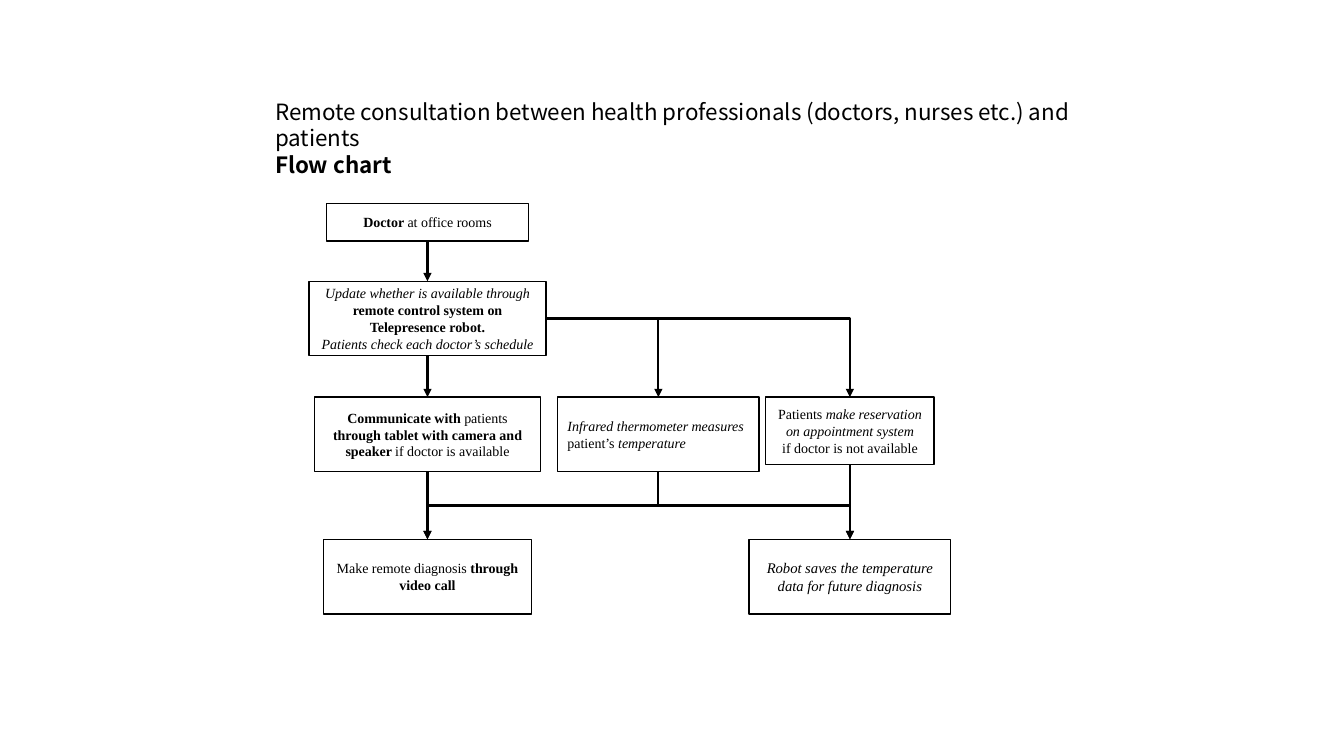
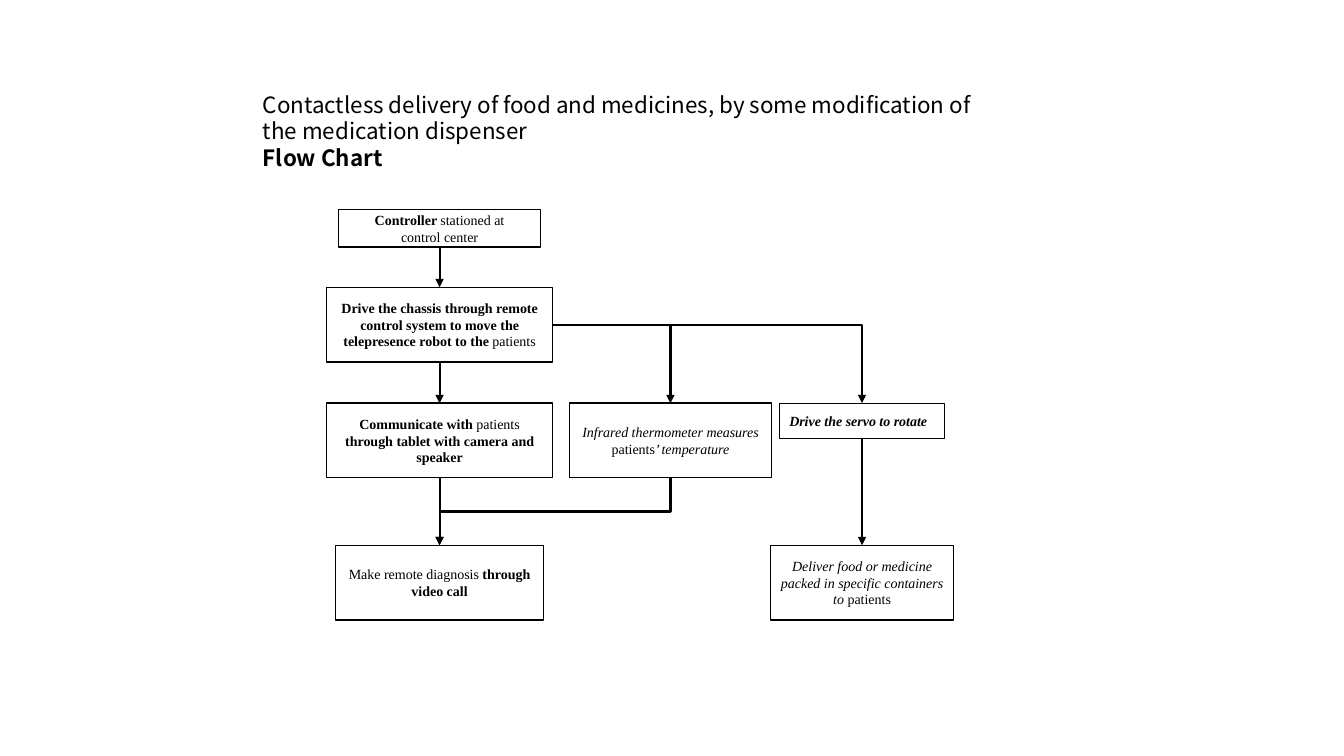
from pptx import Presentation
from pptx import util as u
from pptx.dml import color
from pptx.enum import shapes, text
from lxml import etree

HUES = {"ink": "000000", "paper": "FFFFFF"}
HEAD, BODY = "Noto Sans CJK SC", "Times New Roman"
COLS = (0, 2.29, 4.19)
ROWS = (0, 0.77, 1.92, 3.33)
TALL, LOW = 0.74, 0.37
MID, LEFT = text.PP_ALIGN.CENTER, text.PP_ALIGN.LEFT
CALL = [[("Make remote diagnosis ", ""), ("through video call", "b")]]

# Each box: (column, row): (width, height, size, align, paragraphs)
SLIDES = [
    {
        "title": ("Remote consultation between health professionals "
                  "(doctors, nurses etc.) and patients", "Flow chart"),
        "place": (2.63, 0.92, 8.31, 0.91),
        "start": (4.24, 2.02),
        "boxes": {
            (0, 0): (2, LOW, 10, MID, [[("Doctor ", "b"), ("at office rooms", "")]]),
            (0, 1): (2.35, TALL, 10, MID, [
                [("Update whether is available through ", "i"),
                 ("remote control system on Telepresence robot.", "b")],
                [("Patients check each doctor’s schedule", "i")]]),
            (0, 2): (2.24, TALL, 10, MID, [
                [("Communicate with ", "b"), ("patients", ""),
                 (" through tablet with camera and speaker ", "b"),
                 ("if doctor is available", "")]]),
            (1, 2): (2, TALL, 10, LEFT, [
                [("Infrared thermometer measures ", "i"), ("patient’s", ""),
                 (" temperature", "i")]]),
            (2, 2): (1.67, 0.67, 10, MID, [
                [("Patients", ""), (" make reservation on appointment system", "i")],
                [("if doctor is not available", "")]]),
            (0, 3): (2.06, TALL, 10, MID, CALL),
            (2, 3): (2, TALL, 10.5, MID, [
                [("Robot saves the temperature data for future diagnosis", "i")]]),
        },
        "extra": [((1, 2), (2, 3))],
    },
    {
        "title": ("Contactless delivery of food and medicines, by some "
                  "modification of the medication dispenser", "Flow Chart"),
        "place": (2.51, 0.85, 7.23, 0.91),
        "start": (4.36, 2.08),
        "boxes": {
            (0, 0): (2, LOW, 10, MID, [
                [("Controller ", "b"), ("stationed at", "")],
                [("control center", "")]]),
            (0, 1): (2.24, TALL, 10, MID, [
                [("Drive the chassis through remote control system to move "
                  "the telepresence robot to the ", "b"), ("patients", "")]]),
            (0, 2): (2.24, TALL, 10, MID, [
                [("Communicate with ", "b"), ("patients ", ""),
                 ("through tablet with camera and speaker", "b")]]),
            (1, 2): (2, TALL, 10, MID, [
                [("Infrared thermometer measures ", "i"), ("patients", ""),
                 ("’ temperature", "i")]]),
            (2, 2): (1.64, 0.35, 10, LEFT, [[("Drive the servo to rotate", "bi")]]),
            (0, 3): (2.06, TALL, 10, MID, CALL),
            (2, 3): (1.82, TALL, 10, MID, [
                [("Deliver food or medicine packed in specific containers to ", "i"),
                 ("patients", "")]]),
        },
        "extra": [],
    },
]
LINKS = [((0, 0), (0, 1)), ((0, 1), (0, 2)), ((0, 1), (1, 2)), ((0, 1), (2, 2)),
         ((0, 2), (0, 3)), ((1, 2), (0, 3)), ((2, 2), (2, 3))]


def hue(name):
    return color.RGBColor.from_string(HUES[name])


def style(par, face, size, align):
    par.alignment = align
    par.font.name, par.font.size = face, u.Pt(size)
    par.font.color.rgb = hue("ink")


def fill(frame, pars, face, size, align):
    frame.word_wrap = True
    for n, runs in enumerate(pars):
        par = frame.add_paragraph() if n else frame.paragraphs[0]
        style(par, face, size, align)
        for words, look in runs:
            run = par.add_run()
            run.text = words
            run.font.bold, run.font.italic = "b" in look, "i" in look


def add_box(group, area, size, align, pars):
    box = group.shapes.add_shape(shapes.MSO_SHAPE.RECTANGLE, *map(u.Inches, area))
    box.shadow.inherit = False
    box.fill.solid()
    box.fill.fore_color.rgb = hue("paper")
    box.line.color.rgb = hue("ink")
    box.line.width = u.Pt(1)
    box.text_frame.vertical_anchor = text.MSO_ANCHOR.MIDDLE
    fill(box.text_frame, pars, BODY, size, align)


def add_arrow(group, kind, ends, turn=0, shape=None):
    arrow = group.shapes.add_connector(kind, *map(u.Inches, ends))
    arrow.line.color.rgb = hue("ink")
    arrow.line.width = u.Pt(1.5)
    props = arrow._element.spPr
    space = "{http://schemas.openxmlformats.org/drawingml/2006/main}"
    etree.SubElement(props.find(space + "ln"), space + "tailEnd", type="triangle")
    etree.SubElement(props, space + "effectLst")
    if turn:
        props.find(space + "xfrm").set("rot", str(turn * 60000))
    if shape:
        props.find(space + "prstGeom").set("prst", shape)


def link(group, areas, src, dst):
    kinds = shapes.MSO_CONNECTOR
    left, top, wide, high = areas[src]
    x, y = left + wide / 2, top + high
    end, low = areas[dst][0] + areas[dst][2] / 2, areas[dst][1]
    if src[0] == dst[0]:
        add_arrow(group, kinds.STRAIGHT, (x, y, end, low))
    elif src[1] == 1:
        add_arrow(group, kinds.ELBOW, (left + wide, top + high / 2, end, low),
                  shape="bentConnector2")
    else:
        mid, half = (x + end) / 2, (low - y) / 2
        level, reach = (y + low) / 2, abs(end - x) / 2
        side, turn = (half, 270) if end > x else (-half, 90)
        add_arrow(group, kinds.ELBOW,
                  (mid + side, level - reach, mid - side, level + reach), turn)


def build(deck, page):
    slide = deck.slides.add_slide(deck.slide_layouts[6])
    group = slide.shapes.add_group_shape()
    x, y = page["start"]
    areas = {}
    for (col, row), (wide, high, size, align, pars) in page["boxes"].items():
        area = (x + COLS[col] - wide / 2, y + ROWS[row], wide, high)
        areas[col, row] = area
        add_box(group, area, size, align, pars)
    for src, dst in LINKS + page["extra"]:
        link(group, areas, src, dst)
    title = slide.shapes.add_textbox(*map(u.Inches, page["place"])).text_frame
    title.auto_size = text.MSO_AUTO_SIZE.SHAPE_TO_FIT_TEXT
    topic, label = page["title"]
    fill(title, [[(topic, "")], [(label, "b")]], HEAD, 16, LEFT)


deck = Presentation()
deck.slide_width, deck.slide_height = u.Inches(13.33), u.Inches(7.5)
for page in SLIDES:
    build(deck, page)
deck.save("out.pptx")
